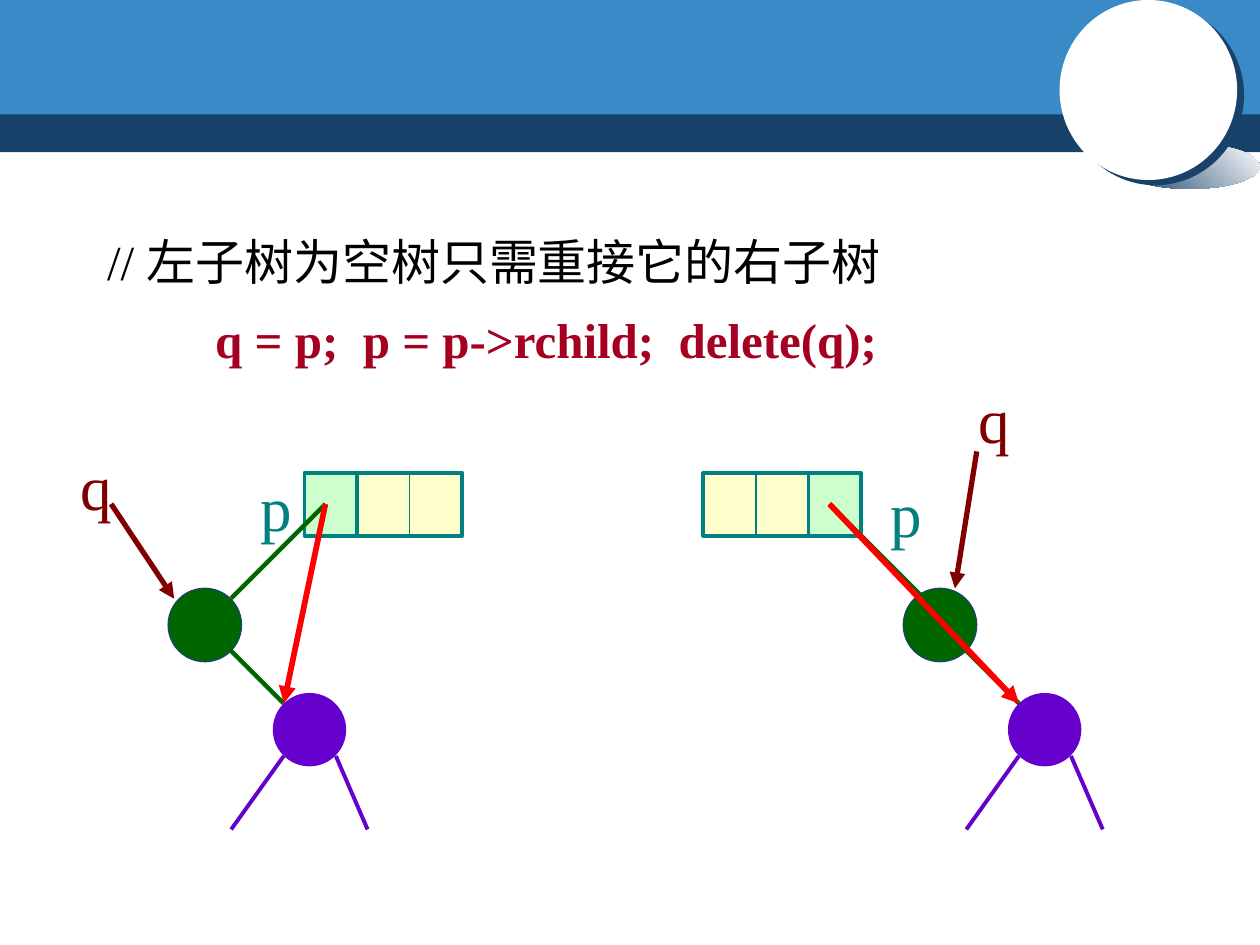
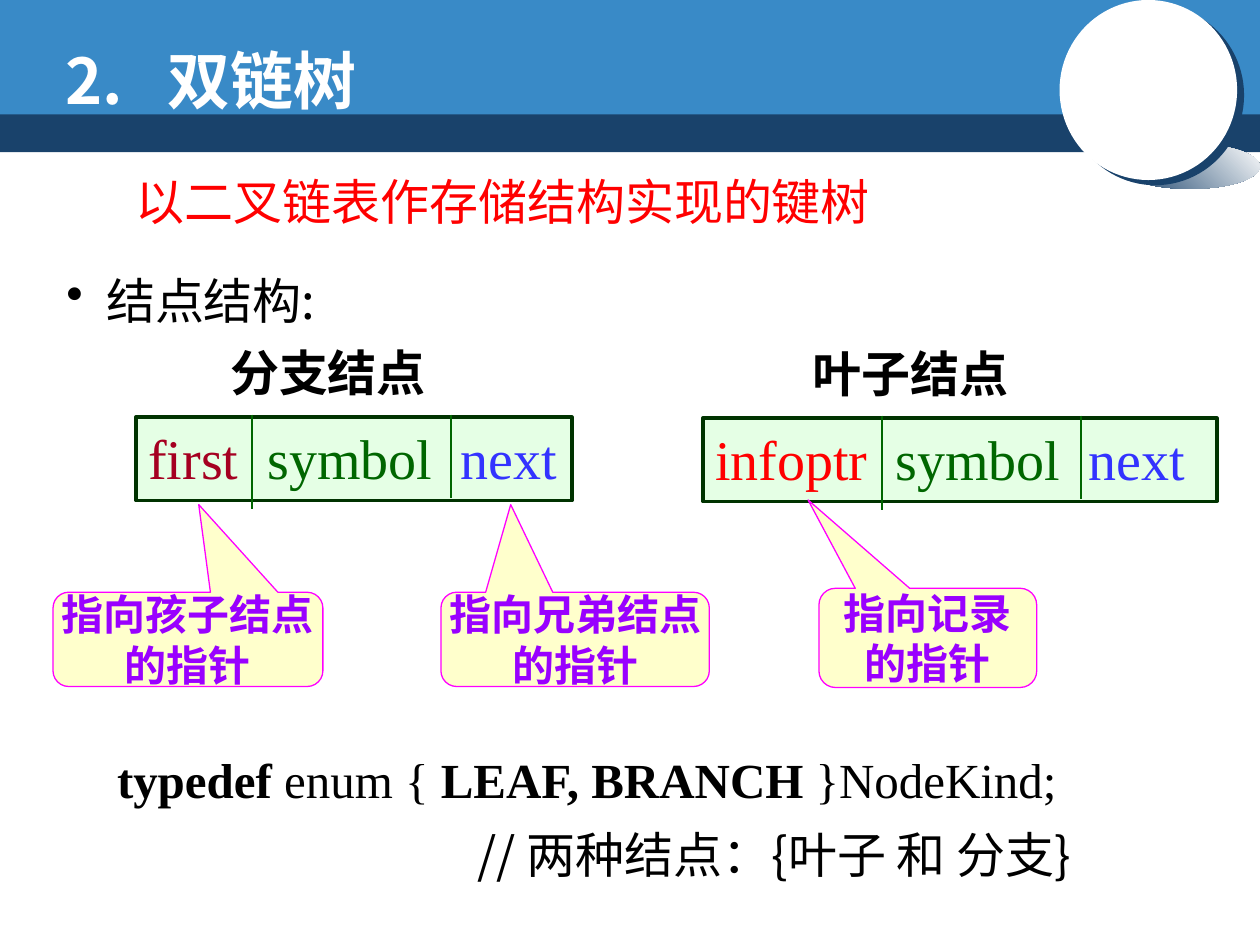
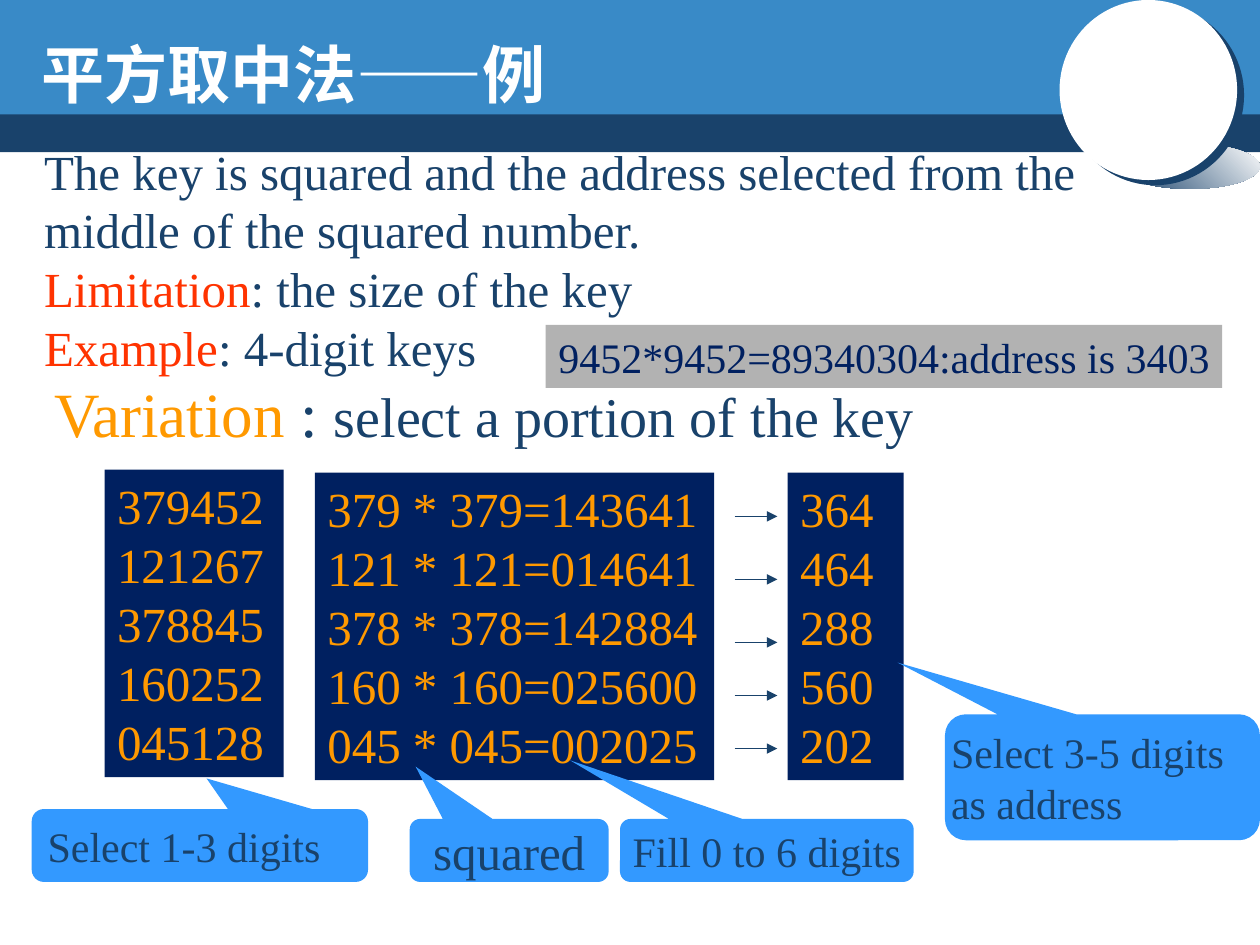
from lxml import etree
from pptx import Presentation, util as u
from pptx.dml.color import RGBColor
from pptx.enum import shapes, text
from pptx.oxml.ns import qn

# Colours and fonts
NAVY, BLUE = RGBColor(0x19, 0x42, 0x6B), RGBColor(0x39, 0x8A, 0xC7)
WHITE, BLACK = RGBColor(255, 255, 255), RGBColor(0, 0, 0)
RED, CRIMSON = RGBColor(255, 0, 0), RGBColor(0xA5, 0x00, 0x21)
MAROON, VERMILION = RGBColor(0x80, 0, 0), RGBColor(0xFF, 0x33, 0)
TEAL, GREEN = RGBColor(0, 0x80, 0x80), RGBColor(0, 0x66, 0)
DARK_GREEN, MINT = RGBColor(0, 0x33, 0), RGBColor(0xCC, 0xFF, 0xCC)
CREAM, MAGENTA = RGBColor(0xFF, 0xFF, 0xCC), RGBColor(0xFF, 0, 0xFF)
PURPLE, VIOLET = RGBColor(0x66, 0, 0xCC), RGBColor(0x99, 0, 0xFF)
INDIGO, SKY = RGBColor(0x33, 0x33, 0xFF), RGBColor(0x33, 0x99, 0xFF)
INK, ORANGE = RGBColor(0, 0x20, 0x60), RGBColor(0xFF, 0x99, 0)
GREY = RGBColor(0xB2, 0xB2, 0xB2)
SERIF, SANS = "Times New Roman", "Noto Sans CJK SC"

RECT = shapes.MSO_SHAPE.RECTANGLE
OVAL = shapes.MSO_SHAPE.OVAL
CALLOUT = shapes.MSO_SHAPE.ROUNDED_RECTANGULAR_CALLOUT
CENTER, MIDDLE = text.PP_ALIGN.CENTER, text.MSO_ANCHOR.MIDDLE

# Slide 1 content: deleting a node whose left subtree is empty (cm)
COMMENT = "// 左子树为空树只需重接它的右子树"
CODE = "q = p;  p = p->rchild;  delete(q);"
TREES = [  # pointer cell, data cells, subtree shift, p label, q label, q arrow
    dict(cell=6.14, data=7.2, shift=0, p=(5, 9.32), q=(1.37, 8.89),
         arrow=(2.24, 10.16, 3.51, 12.07)),
    dict(cell=16.3, data=14.18, shift=14.82, p=(17.7, 9.45), q=(19.48, 7.54),
         arrow=(19.69, 9.1, 19.25, 11.86)),
]
NODES = [(3.39, 11.86, GREEN, NAVY), (5.5, 13.97, PURPLE, None)]
BRANCHES = [(5.72, 15.24, 4.66, 16.72, PURPLE, 2.25),
            (6.77, 15.24, 7.41, 16.72, PURPLE, 2.25),
            (4.66, 13.12, 5.72, 14.18, GREEN, 2.5)]

# Slide 2 content: node layouts of the doubly linked tree
RECORDS = [  # heading, heading place, box, tab stops, first field, dividers
    ("分支结点", (4.39, 6.78), (2.74, 8.41, 8.79, 1.68), (2.4, 6.29),
     ("first", CRIMSON), (5.08, 9.09)),
    ("叶子结点", (16.13, 6.81), (14.17, 8.43, 10.36, 1.68), (3.63, 7.52),
     ("infoptr", RED), (17.78, 21.79)),
]
POINTERS = [
    ("指向孩子结点", (1.07, 11.94, 5.44, 1.9), (0.04, -1.43)),
    ("指向兄弟结点", (8.89, 11.94, 5.41, 1.9), (-0.24, -1.43)),
    ("指向记录", (16.51, 11.86, 4.39, 2), (-0.55, -1.39)),
]
ENUM = [("typedef", dict(bold=True)), " enum { ",
        ("LEAF, BRANCH", dict(bold=True)), " }NodeKind;"]
ENUM_NOTE = "// 两种结点：{叶子 和 分支}"

# Slide 3 content: mid-square hashing
INTRO = [
    ["The key is squared and the address selected from the middle of the "
     "squared number."],
    [("Limitation", dict(color=VERMILION)), ": the size of the key"],
    [("Example", dict(color=VERMILION)), ": 4-digit keys"],
]
KEYS = ["379452", "121267", "378845", "160252", "045128"]
SQUARES = ["143641", "014641", "142884", "025600", "002025"]
PRODUCTS = [f"{k[:3]} * {k[:3]}={sq}" for k, sq in zip(KEYS, SQUARES)]
ADDRESSES = [sq[2:5] for sq in SQUARES]
ADDRESSES[1:] = ["464", "288", "560", "202"]
COLUMNS = [(KEYS, 2.11, 9.47, 3.61), (PRODUCTS, 6.35, 9.53, 8.05),
           (ADDRESSES, 15.88, 9.53, 2.34)]
ARROW_ROWS = (10.41, 11.68, 12.95, 14.02, 15.09)
STEPS = [  # text, box, tip, size, format
    ("Select 1-3 digits", (0.64, 16.31, 6.78, 1.47), (0.02, -0.92), 24, {}),
    ("Fill 0 to 6 digits", (12.5, 16.51, 5.92, 1.27), (-0.67, -1.43), 24,
     dict(align=CENTER, inset=0)),
    ("squared", (8.26, 16.51, 4.01, 1.27), (-0.47, -1.33), 28,
     dict(align=CENTER)),
    ("Select 3-5 digits as address", (19.05, 14.4, 6.35, 2.54),
     (-0.65, -0.91), 24, dict(inset=0)),
]


def write(sp, paras, size, color, font=SERIF, bold=False, align=None,
          wrap=True, anchor=text.MSO_ANCHOR.TOP, inset=None):
    """Fill a shape with paragraphs; a run is a string or (string, changes)."""
    tf = sp.text_frame
    tf.word_wrap, tf.vertical_anchor = wrap, anchor
    tf.auto_size = text.MSO_AUTO_SIZE.NONE
    if inset is not None:
        for side in ("left", "right", "top", "bottom"):
            setattr(tf, f"margin_{side}", u.Cm(inset))
    for i, runs in enumerate(paras):
        p = tf.add_paragraph() if i else tf.paragraphs[0]
        p.alignment = align or text.PP_ALIGN.LEFT
        for run in [runs] if isinstance(runs, str) else runs:
            words, changes = (run, {}) if isinstance(run, str) else run
            fmt = dict(size=size, color=color, name=font, bold=bold) | changes
            r = p.add_run()
            r.text = words
            r.font.color.rgb = fmt.pop("color")
            fmt["size"] = u.Pt(fmt["size"])
            for key, value in fmt.items():
                setattr(r.font, key, value)
            etree.SubElement(r.font._element, qn("a:ea"), typeface=SANS)
    return tf


def shape(s, kind, box, fill, line=None, width=0.75, tip=None):
    sp = s.shapes.add_shape(kind, *map(u.Cm, box))
    sp.shadow.inherit = False
    sp.fill.solid()
    sp.fill.fore_color.rgb = fill
    if line is None:
        sp.line.fill.background()
    else:
        sp.line.color.rgb, sp.line.width = line, u.Pt(width)
    if tip:
        sp.adjustments[0], sp.adjustments[1] = tip
    return sp


def label(s, box, paras, size, color, **fmt):
    return write(s.shapes.add_textbox(*map(u.Cm, box)), paras, size, color, **fmt)


def line(s, ends, color, width, arrow=False):
    c = s.shapes.add_connector(shapes.MSO_CONNECTOR.STRAIGHT, *map(u.Cm, ends))
    c.line.color.rgb, c.line.width = color, u.Pt(width)
    if arrow:
        etree.SubElement(c.line._get_or_add_ln(), qn("a:tailEnd"), type="triangle")
    etree.SubElement(c._element.spPr, qn("a:effectLst"))


def tabs(p, stops):
    tab_list = etree.SubElement(p._p.get_or_add_pPr(), qn("a:tabLst"))
    for stop in stops:
        etree.SubElement(tab_list, qn("a:tab"), pos=str(u.Cm(stop)), algn="l")


def title(s, box, words):
    sp = s.shapes.title
    sp.left, sp.top, sp.width, sp.height = map(u.Cm, box)
    return write(sp, [words], 36, WHITE, font=SANS, bold=True)


def decorate_master(prs, s):
    """Draw the bands and the disc, then hand them to the slide master."""
    shape(s, RECT, (0, 2.21, 25.4, 0.86), NAVY)
    shape(s, RECT, (0, 0, 25.4, 2.31), BLUE)
    glow = shape(s, OVAL, (22.58, 2.9, 2.82, 0.91), NAVY)
    glow.fill.gradient()
    glow.fill.gradient_angle = 45
    for stop, color in zip(glow.fill.gradient_stops, (NAVY, WHITE)):
        stop.color.rgb = color
    disc = shape(s, OVAL, (21.36, 0, 3.58, 3.63), WHITE)
    effects = disc._element.spPr.find(qn("a:effectLst"))
    shadow = etree.SubElement(effects, qn("a:outerShdw"), blurRad="0",
                              dist=str(u.Pt(5)), dir=str(37 * 60000),
                              algn="ctr", rotWithShape="0")
    etree.SubElement(shadow, qn("a:srgbClr"), val=str(NAVY))
    shape(s, OVAL, (22.56, 1.27, 1.27, 1.24), WHITE)
    tree = prs.slide_master.shapes._spTree
    for i, sp in enumerate(list(s.shapes)):
        tree.insert(2 + i, sp._element)


def deletion_slide(s):
    tf = label(s, (1.91, 3.94, 16.13, 2.03), [COMMENT], 28, BLACK)
    tf.paragraphs[0].line_spacing = 1.5
    label(s, (4.09, 6.12, 14, 1.45), [CODE], 28, CRIMSON, bold=True)
    for t in TREES:
        cell, data, dx = t["cell"], t["data"], t["shift"]
        shape(s, RECT, (cell, 9.53, 1.06, 1.27), MINT, TEAL, 2.25)
        shape(s, RECT, (data, 9.53, 2.12, 1.27), CREAM, TEAL, 2.25)
        line(s, (data + 1.06, 9.53, data + 1.06, 10.8), TEAL, 0.75)
        for x, y, fill, edge in NODES:
            shape(s, OVAL, (x + dx, y, 1.48, 1.48), fill, edge)
        for x1, y1, x2, y2, color, width in BRANCHES:
            line(s, (x1 + dx, y1, x2 + dx, y2), color, width)
        start = (cell + 0.42, 10.16)
        side = 1 if dx else -1
        line(s, (*start, start[0] + side * 1.9, 12.06), GREEN, 2.5)
        line(s, (*start, 5.72 + dx, 14.18), RED, 3.25, arrow=True)
        label(s, (*t["p"], 1.14, 1.78), ["p"], 36, TEAL)
        line(s, t["arrow"], MAROON, 3, arrow=True)
        label(s, (*t["q"], 1.47, 1.78), ["q"], 36, MAROON)


def linked_tree_slide(s):
    tf = title(s, (1.07, 0.71, 8, 1.78), "2.\t双链树")
    tabs(tf.paragraphs[0], [2.06])
    label(s, (2.49, 3.33, 15.6, 1.45), ["以二叉链表作存储结构实现的键树"], 28, RED,
          font=SANS)

    # Bulleted line
    tf = label(s, (1.09, 5.33, 6.6, 1.45), ["结点结构:"], 28, BLACK, font=SANS)
    pPr = tf.paragraphs[0]._p.get_or_add_pPr()
    pPr.set("marL", str(u.Cm(0.8)))
    pPr.set("indent", str(-u.Cm(0.8)))
    etree.SubElement(pPr, qn("a:buChar"), char="•")

    # Node records
    for heading, place, box, stops, (first, color), dividers in RECORDS:
        label(s, (*place, 4.6, 1.45), [heading], 28, BLACK, bold=True)
        sp = shape(s, RECT, box, MINT, DARK_GREEN, 2)
        rgb = sp._element.spPr.find(qn("a:solidFill"))[0]
        etree.SubElement(rgb, qn("a:alpha"), val="50000")
        runs = [(first + "\t", dict(color=color)), "symbol\t",
                ("next", dict(color=INDIGO))]
        tabs(write(sp, [runs], 32, GREEN).paragraphs[0], stops)
        for x, length in zip(dividers, (1.91, 1.68)):
            top = box[1] - 0.05
            line(s, (x, top, x, top + length), GREEN, 0.75)

    for words, box, tip in POINTERS:
        sp = shape(s, CALLOUT, box, CREAM, MAGENTA, tip=tip)
        write(sp, [words, "的指针"], 24, VIOLET, bold=True, align=CENTER,
              wrap=False, anchor=MIDDLE)

    # Type definition
    tf = label(s, (2.11, 14.99, 21.16, 3), [ENUM, [(ENUM_NOTE, dict(name=SANS))]],
               28, BLACK)
    note = tf.paragraphs[1]
    note.space_before = u.Pt(9)
    note._p.get_or_add_pPr().set("marL", str(u.Cm(7.27)))


def mid_square_slide(s):
    title(s, (0.58, 0.58, 20, 1.8), "平方取中法——例")
    for rows, x, y, width in COLUMNS:
        write(shape(s, RECT, (x, y, width, 6.2), INK), rows, 28, ORANGE)
    for words, box, tip, size, fmt in STEPS:
        write(shape(s, CALLOUT, box, SKY, tip=tip), [words], size, NAVY,
              anchor=MIDDLE, **fmt)
    write(shape(s, RECT, (11, 6.55, 13.64, 1.27), GREY),
          ["9452*9452=89340304:address is 3403"], 24, INK, align=CENTER, wrap=False)
    for y in ARROW_ROWS:
        line(s, (14.81, y, 15.67, y), NAVY, 1, arrow=True)
    label(s, (0.84, 7.42, 21.8, 1.78),
          [[("Variation ", dict(color=ORANGE)), ": ",
            ("select a portion of the key", dict(size=32))]], 36, NAVY)
    label(s, (0.64, 2.72, 24, 5.05), INTRO, 28, NAVY)


def main():
    prs = Presentation()
    prs.slide_width, prs.slide_height = u.Cm(25.4), u.Cm(19.05)
    title_only, blank = prs.slide_layouts[5], prs.slide_layouts[6]
    s = prs.slides.add_slide(blank)
    decorate_master(prs, s)
    deletion_slide(s)
    linked_tree_slide(prs.slides.add_slide(title_only))
    mid_square_slide(prs.slides.add_slide(title_only))
    prs.save("out.pptx")


if __name__ == "__main__":
    main()
